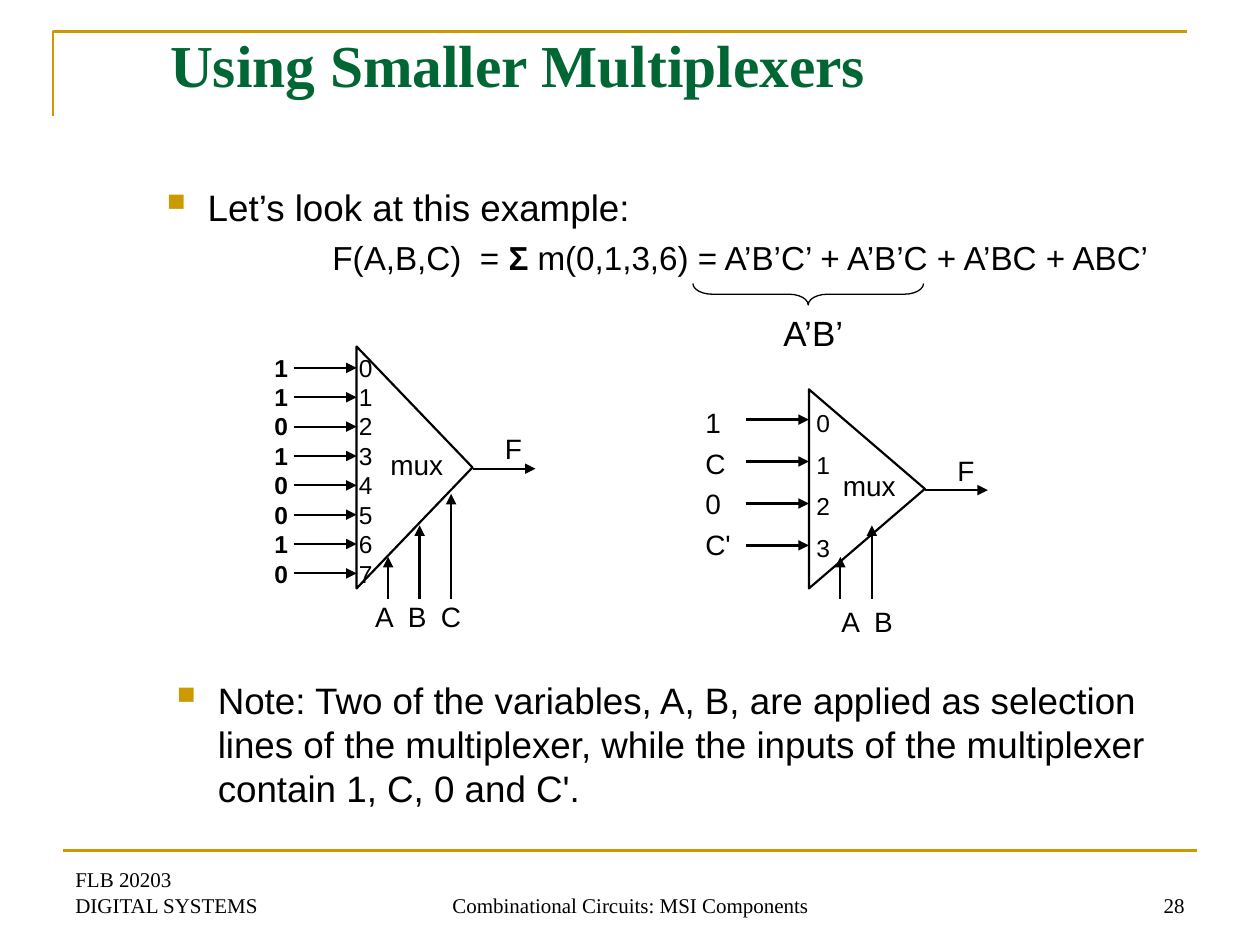
from lxml.etree import SubElement
from pptx import Presentation
from pptx.dml.color import RGBColor
from pptx.enum.shapes import MSO_CONNECTOR, MSO_SHAPE
from pptx.enum.text import MSO_ANCHOR, PP_ALIGN
from pptx.oxml.ns import qn
from pptx.util import Inches, Pt


class Theme:
    ink = RGBColor(0, 0, 0)
    gold = RGBColor(0xCC, 0x99, 0x00)
    green = RGBColor(0x00, 0x66, 0x33)
    sans = "Arial"
    serif = "Times New Roman"
    title = 34
    body = 21
    term = 20
    formula = 19
    label = 16
    pin = 14
    footer = 12
    rule = 1.5
    wire = 1.25
    brace = 0.75


deck = Presentation()
deck.slide_width, deck.slide_height = Inches(10), Inches(7.5)
page = deck.slides.add_slide(deck.slide_layouts[5])


def add_text(at, lines, size, font=Theme.sans, bold=False, space=0,
             align=PP_ALIGN.LEFT, anchor=MSO_ANCHOR.TOP):
    """Add a text box with one paragraph per line; space separates them."""
    box = page.shapes.add_textbox(*map(Inches, at))
    frame = box.text_frame
    frame.word_wrap = True
    frame.vertical_anchor = anchor
    for index, line in enumerate(lines):
        para = frame.paragraphs[0] if index == 0 else frame.add_paragraph()
        para.alignment = align
        if index:
            para.space_before = Pt(space)
        span = para.add_run()
        span.text = line
        span.font.name, span.font.size = font, Pt(size)
        span.font.bold, span.font.color.rgb = bold, Theme.ink
    return box


def add_line(start, end, color=Theme.ink, width=Theme.wire, arrow=True):
    line = page.shapes.add_connector(
        MSO_CONNECTOR.STRAIGHT, *map(Inches, (*start, *end)))
    line.line.color.rgb, line.line.width = color, Pt(width)
    if arrow:
        SubElement(line.line._get_or_add_ln(), qn("a:tailEnd"), type="triangle")
    SubElement(line._element.spPr, qn("a:effectLst"))


# Frame and footer
outline = page.shapes.build_freeform(Inches(0.42), Inches(0.92))
outline.add_line_segments(
    [(Inches(0.42), Inches(0.25)), (Inches(9.42), Inches(0.25))], close=False)
corner = outline.convert_to_shape()
corner.shadow.inherit = False
corner.fill.background()
corner.line.color.rgb, corner.line.width = Theme.gold, Pt(Theme.rule)
add_line((0.5, 6.75), (9.5, 6.75), Theme.gold, Theme.rule, arrow=False)

for left, width, lines, align in (
    (0.5, 2.33, ["FLB 20203", "DIGITAL SYSTEMS"], PP_ALIGN.LEFT),
    (3.42, 3.17, ["Combinational Circuits: MSI Components"], PP_ALIGN.CENTER),
    (7.17, 2.33, ["28"], PP_ALIGN.RIGHT),
):
    add_text((left, 6.83, width, 0.5), lines, Theme.footer, Theme.serif,
             align=align, anchor=MSO_ANCHOR.BOTTOM)

# Title
title = page.shapes.title
title.left, title.top, title.width, title.height = map(
    Inches, (1.25, 0.17, 8.5, 1.25))
title.text_frame.vertical_anchor = MSO_ANCHOR.TOP
para = title.text_frame.paragraphs[0]
para.alignment = PP_ALIGN.LEFT
span = para.add_run()
span.text = "Using Smaller Multiplexers"
span.font.name, span.font.size = Theme.serif, Pt(Theme.title)
span.font.bold, span.font.color.rgb = True, Theme.green

# Bulleted statements
example = add_text((1.17, 1.42, 8.25, 1.08), ["Let’s look at this example:"],
                   Theme.body)
note = add_text(
    (1.25, 5.33, 8.25, 1.42),
    ["Note: Two of the variables, A, B, are applied as selection lines of the "
     "multiplexer, while the inputs of the multiplexer contain 1, C, 0 and C'."],
    Theme.body)
for box in (example, note):
    props = box.text_frame.paragraphs[0]._p.get_or_add_pPr()
    props.set("marL", str(Inches(0.38)))
    props.set("indent", str(-Inches(0.38)))
    SubElement(SubElement(props, qn("a:buClr")), qn("a:srgbClr"),
               val=str(Theme.gold))
    SubElement(props, qn("a:buSzPct"), val="120000")
    SubElement(props, qn("a:buChar"), char="▪")

# Formula with its brace
para = example.text_frame.add_paragraph()
para._p.get_or_add_pPr().set("marL", str(Inches(1.37)))
para.space_before = Pt(4.8)
for text, bold in (("F(A,B,C)  = ", False), ("Σ", True),
                   (" m(0,1,3,6) = A’B’C’ + A’B’C + A’BC + ABC’", False)):
    span = para.add_run()
    span.text = text
    span.font.name, span.font.size = Theme.sans, Pt(Theme.formula)
    span.font.bold, span.font.color.rgb = bold, Theme.ink

brace = page.shapes.add_shape(
    MSO_SHAPE.LEFT_BRACE, *map(Inches, (6.33, 1.42, 0.17, 1.83)))
brace.rotation = 270
brace.adjustments[0] = 0.9
brace.shadow.inherit = False
brace.fill.background()
brace.line.color.rgb, brace.line.width = Theme.ink, Pt(Theme.brace)
add_text((6.08, 2.42, 0.75, 0.44), ["A’B’"], Theme.term, align=PP_ALIGN.CENTER)

# Multiplexers: left and middle place the triangle, first and step the inputs
muxes = (
    dict(left=2.83, middle=3.71, height=1.92, first=2.92, step=0.233,
         inputs="1 1 0 1 0 0 1 0".split(), selectors="ABC",
         input_at=(2.08, 2.75, 0.42, 1.97), input_size=Theme.pin,
         input_bold=True, input_space=0,
         pin_at=(2.75, 2.75, 0.42, 1.97), pin_space=0,
         select_at=(2.88, 4.71, 1, 0.37)),
    dict(left=6.42, middle=3.88, height=1.58, first=3.33, step=0.333,
         inputs="1 C 0 C'".split(), selectors="AB",
         input_at=(5.5, 3.17, 0.5, 1.34), input_size=Theme.label,
         input_bold=False, input_space=4,
         pin_at=(6.38, 3.19, 0.42, 1.33), pin_space=7,
         select_at=(6.58, 4.75, 0.75, 0.37)),
)
depth = 0.92
for mux in muxes:
    left, middle, height = mux["left"], mux["middle"], mux["height"]
    body = page.shapes.add_shape(
        MSO_SHAPE.ISOSCELES_TRIANGLE,
        Inches(left + (depth - height) / 2), Inches(middle - depth / 2),
        Inches(height), Inches(depth))
    body.rotation = 90
    body.shadow.inherit = False
    body.fill.background()
    body.line.color.rgb, body.line.width = Theme.ink, Pt(Theme.wire)

    add_text((left + 0.17, middle - 0.21, 0.75, 0.37), ["mux"], Theme.label)
    add_text((left + 1.08, middle - 0.33, 0.4, 0.37), ["F"], Theme.label)
    add_line((left + depth, middle + 0.01), (left + depth + 0.5, middle + 0.01))

    add_text(mux["input_at"], mux["inputs"], mux["input_size"],
             bold=mux["input_bold"], space=mux["input_space"])
    add_text(mux["pin_at"], map(str, range(len(mux["inputs"]))), Theme.pin,
             space=mux["pin_space"])
    for index in range(len(mux["inputs"])):
        y = mux["first"] + index * mux["step"]
        add_line((left - 0.5, y), (left, y))

    names = add_text(mux["select_at"], ["\t".join(mux["selectors"])], Theme.label)
    tabs = SubElement(names.text_frame.paragraphs[0]._p.get_or_add_pPr(),
                      qn("a:tabLst"))
    for index in range(len(mux["selectors"])):
        x = left + 0.25 * (index + 1)
        add_line((x, 4.75), (x, 4.42 - 0.25 * index))
        if index:
            SubElement(tabs, qn("a:tab"), pos=str(Inches(0.26 * index)), algn="l")

deck.save("out.pptx")
